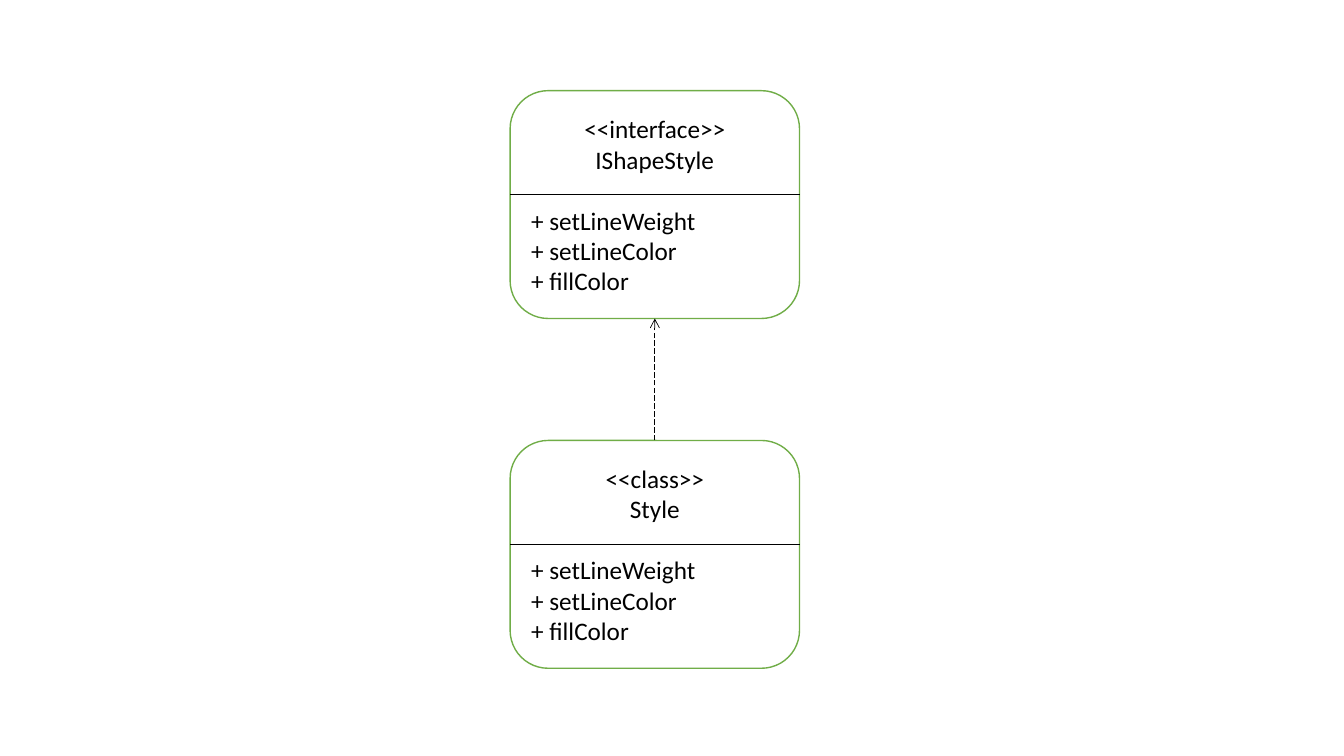
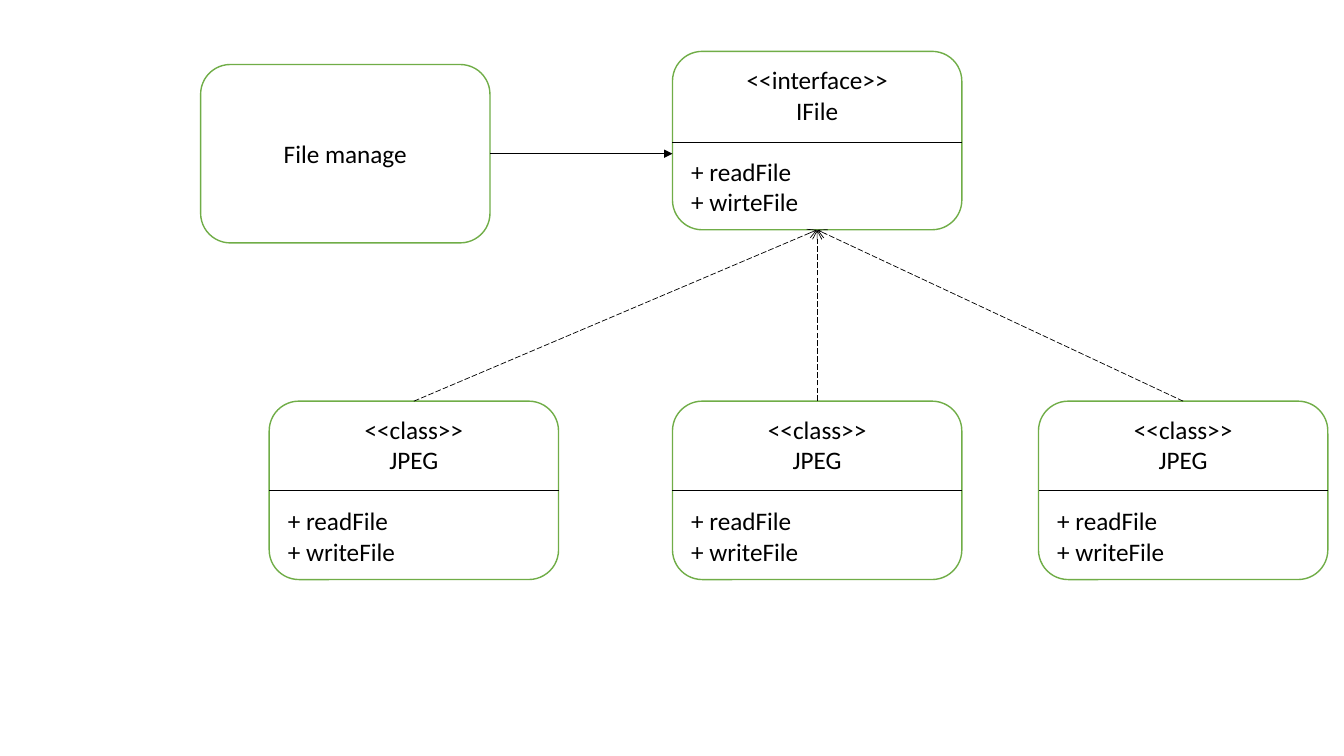
from lxml import etree
from pptx import Presentation
from pptx.dml.color import RGBColor
from pptx.enum.dml import MSO_LINE
from pptx.enum.shapes import MSO_CONNECTOR, MSO_SHAPE
from pptx.enum.text import MSO_ANCHOR, PP_ALIGN
from pptx.oxml.ns import qn
from pptx.util import Inches, Pt

ROUNDED = MSO_SHAPE.ROUNDED_RECTANGLE
STRAIGHT = MSO_CONNECTOR.STRAIGHT
LONG_DASH = MSO_LINE.LONG_DASH
MIDDLE = MSO_ANCHOR.MIDDLE
CENTER, LEFT = PP_ALIGN.CENTER, PP_ALIGN.LEFT
TOP_SITE, BOTTOM_SITE, RIGHT_SITE = 0, 2, 3

COLORS = {"paper": "FFFFFF", "border": "70AD47", "ink": "000000"}
FONT = "Calibri"
BOX_WIDTH = 2.87
TALL, SHORT = 2.26, 1.77
MEMBER_GAP = 22  # one text line between the heading and the members


def color(name):
    """Return the named palette colour."""
    return RGBColor.from_string(COLORS[name])


def write_line(paragraph, text, size=18, ink="ink", align=LEFT, before=0):
    """Write one formatted paragraph."""
    paragraph.alignment = align
    paragraph.space_before = Pt(before)
    run = paragraph.add_run()
    run.text = text
    run.font.name = FONT
    run.font.size = Pt(size)
    run.font.color.rgb = color(ink)


def add_box(slide, left, top, height, heading, members=()):
    """Add a rounded box with a centred heading and left-aligned members."""
    box = slide.shapes.add_shape(
        ROUNDED, Inches(left), Inches(top), Inches(BOX_WIDTH), Inches(height))
    box.shadow.inherit = False
    box.fill.solid()
    box.fill.fore_color.rgb = color("paper")
    box.line.color.rgb = color("border")
    box.line.width = Pt(1)
    frame = box.text_frame
    frame.word_wrap = True
    frame.vertical_anchor = MIDDLE
    for index, text in enumerate(heading):
        paragraph = frame.add_paragraph() if index else frame.paragraphs[0]
        write_line(paragraph, text, align=CENTER)
    for index, text in enumerate(members):
        write_line(frame.add_paragraph(), text,
                   before=0 if index else MEMBER_GAP)
    return box


def add_line(slide, start, end, dash=None, arrow=None):
    """Add a thin straight line, optionally dashed and with an arrowhead."""
    line = slide.shapes.add_connector(
        STRAIGHT, *(Inches(value) for value in (*start, *end)))
    line.line.color.rgb = color("ink")
    line.line.width = Pt(0.5)
    if dash is not None:
        line.line.dash_style = dash
    properties = line._element.spPr
    if arrow:
        etree.SubElement(properties.find(qn("a:ln")), qn("a:tailEnd"), type=arrow)
    etree.SubElement(properties, qn("a:effectLst"))
    return line


def add_type(slide, left, top, height, divider, kind, name, members):
    """Add a UML type: a box divided below its stereotype and name."""
    box = add_box(slide, left, top, height, (f"<<{kind}>>", name),
                  [f"+ {member}" for member in members])
    add_line(slide, (left, top + divider), (left + BOX_WIDTH, top + divider))
    return box


def add_realization(slide, implementer, interface):
    """Link the top of a class to the bottom of its interface."""
    arrow = add_line(slide, (0, 0), (0, 0), dash=LONG_DASH, arrow="arrow")
    arrow.begin_connect(implementer, TOP_SITE)
    arrow.end_connect(interface, BOTTOM_SITE)


def build_style_slide(slide):
    """Show the style interface and its class."""
    members = ("setLineWeight", "setLineColor", "fillColor")
    interface, style = (
        add_type(slide, 5.06, top, TALL, 1.03, kind, name, members)
        for top, kind, name in ((0.9, "interface", "IShapeStyle"),
                                (4.37, "class", "Style")))
    add_realization(slide, style, interface)


def build_file_slide(slide):
    """Show the file manager, the file interface and its classes."""
    manager_left, manager_top, interface_left = 1.99, 0.64, 6.67
    manager = add_box(slide, manager_left, manager_top, SHORT, ("File manage",))
    interface = add_type(slide, interface_left, 0.51, SHORT, 0.9,
                         "interface", "IFile", ("readFile", "wirteFile"))
    middle = manager_top + SHORT / 2
    usage = add_line(slide, (manager_left + BOX_WIDTH, middle),
                     (interface_left, middle), arrow="triangle")
    usage.begin_connect(manager, RIGHT_SITE)
    for left in (interface_left, 10.3, 2.67):
        file_class = add_type(slide, left, 3.98, SHORT, 0.88,
                              "class", "JPEG", ("readFile", "writeFile"))
        add_realization(slide, file_class, interface)


def main():
    """Build and save the presentation."""
    deck = Presentation()
    deck.slide_width, deck.slide_height = Inches(13.33), Inches(7.5)
    blank = deck.slide_layouts[6]
    for build in (build_style_slide, build_file_slide):
        build(deck.slides.add_slide(blank))
    deck.save("out.pptx")


main()
